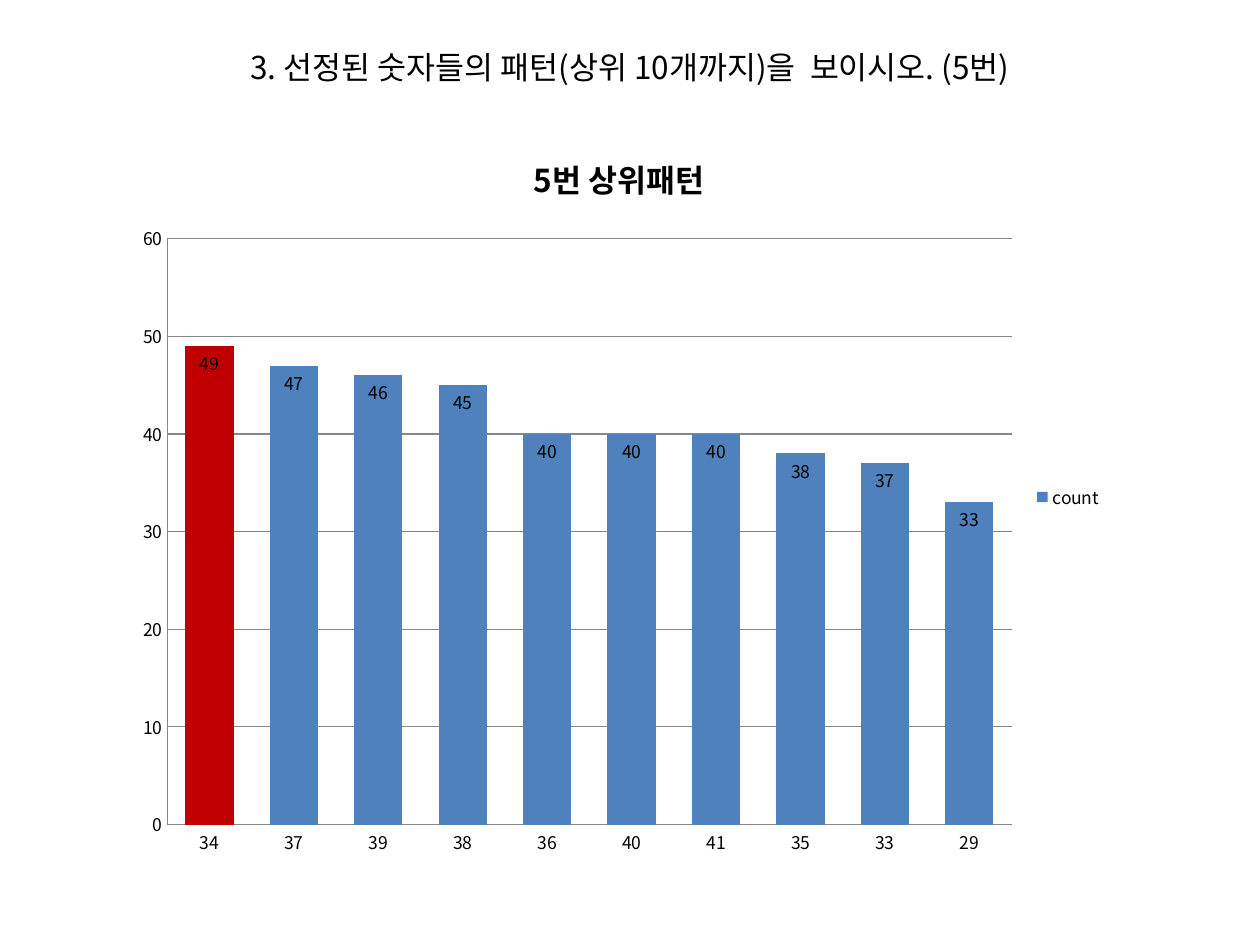
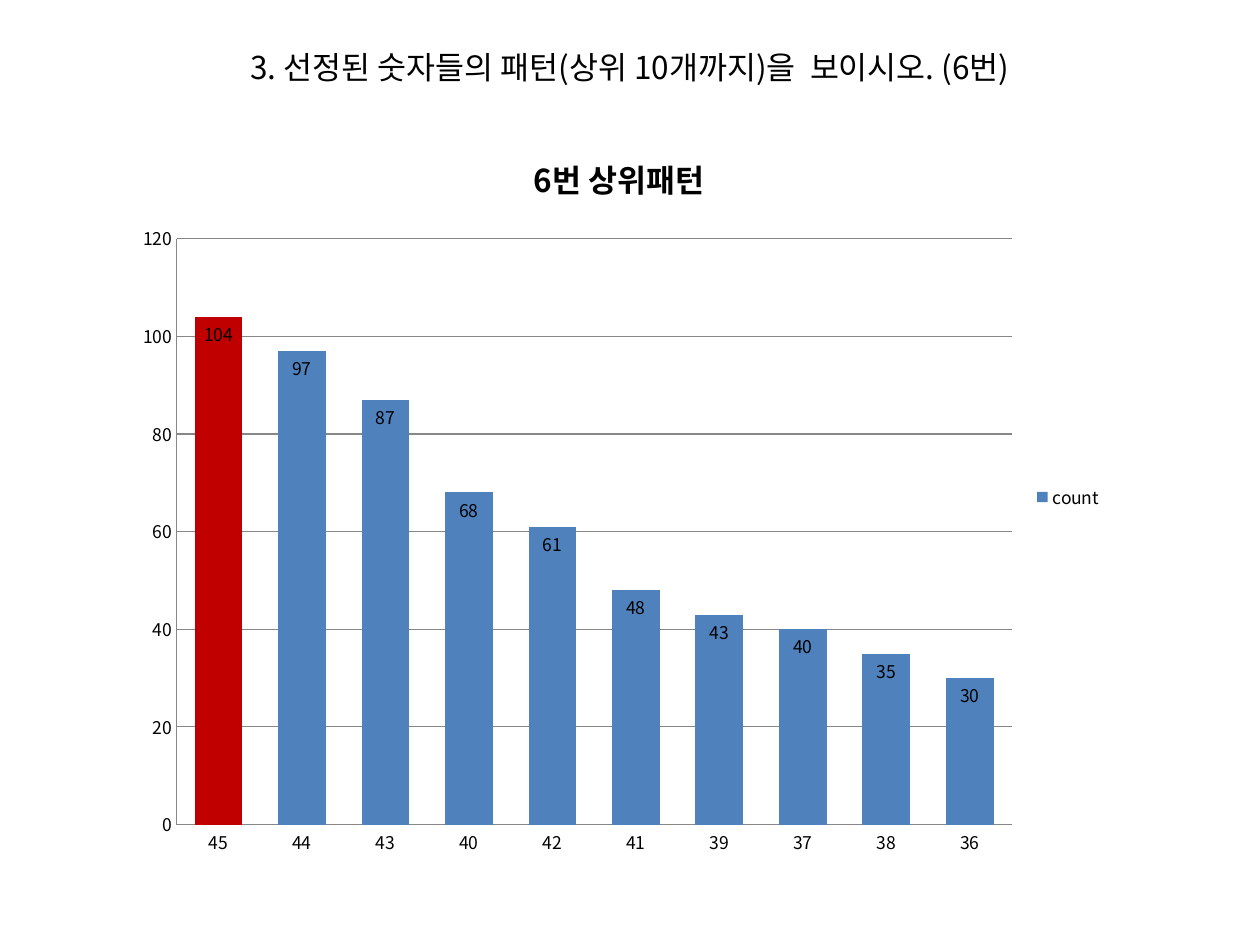
import lxml.etree
import pptx
import pptx.chart.data
import pptx.dml.color
import pptx.enum.chart
import pptx.enum.text
import pptx.oxml.ns
import pptx.util

COLOURS = {"text": "000000", "bar": "4F81BD", "top": "C00000", "grid": "878787", "page": "FFFFFF"}
FONT = "Noto Sans CJK KR"
WIDTH, HEIGHT = pptx.util.Inches(10), pptx.util.Inches(7.5)
TITLE_BOX = (0, 0.044, 1, 0.053)
CHART_BOX = (0.098, 0.132, 0.787, 0.788)

PATTERNS = [
    {
        "number": 5,
        "counts": {"34": 49, "37": 47, "39": 46, "38": 45, "36": 40,
                   "40": 40, "41": 40, "35": 38, "33": 37, "29": 33},
        "step": 10,
    },
    {
        "number": 6,
        "counts": {"45": 104, "44": 97, "43": 87, "40": 68, "42": 61,
                   "41": 48, "39": 43, "37": 40, "38": 35, "36": 30},
        "step": 20,
    },
]


def colour(name):
    return pptx.dml.color.RGBColor.from_string(COLOURS[name])


def place(box):
    left, top, width, height = box
    return [round(share * size) for share, size in
            ((left, WIDTH), (top, HEIGHT), (width, WIDTH), (height, HEIGHT))]


def style_font(font, size, bold=False):
    font.size = pptx.util.Pt(size)
    font.bold = bold
    font.color.rgb = colour("text")
    font.name = FONT
    east_asian = lxml.etree.SubElement(font._rPr, pptx.oxml.ns.qn("a:ea"))
    east_asian.set("typeface", FONT)


def write_text(frame, text, size=18, bold=False, align=pptx.enum.text.PP_ALIGN.CENTER):
    para = frame.paragraphs[0]
    para.alignment = align
    span = para.add_run()
    span.text = text
    style_font(span.font, size, bold)


def add_title(page, box, number):
    frame = page.shapes.add_textbox(*place(box)).text_frame
    frame.word_wrap = True
    frame.auto_size = pptx.enum.text.MSO_AUTO_SIZE.SHAPE_TO_FIT_TEXT
    write_text(frame, f"3. 선정된 숫자들의 패턴(상위 10개까지)을  보이시오. ({number}번)")


def style_axis(axis):
    axis.major_tick_mark = pptx.enum.chart.XL_TICK_MARK.NONE
    axis.minor_tick_mark = pptx.enum.chart.XL_TICK_MARK.NONE
    axis.format.line.color.rgb = colour("grid")
    axis.format.line.width = pptx.util.Pt(0.75)


def style_bars(plot):
    plot.gap_width = 75
    plot.overlap = 40
    plot.vary_by_categories = False
    series = plot.series[0]
    for part, name in ((series, "bar"), (series.points[0], "top")):
        part.format.fill.solid()
        part.format.fill.fore_color.rgb = colour(name)
    labels = series.data_labels
    labels.show_value = True
    labels.position = pptx.enum.chart.XL_LABEL_POSITION.INSIDE_END


def add_count_chart(page, box, number, counts, step):
    data = pptx.chart.data.CategoryChartData()
    data.categories = list(counts)
    data.add_series("count", list(counts.values()))
    kind = pptx.enum.chart.XL_CHART_TYPE.COLUMN_CLUSTERED
    chart = page.shapes.add_chart(kind, *place(box), data).chart
    style_font(chart.font, 10)
    write_text(chart.chart_title.text_frame, f"{number}번 상위패턴", bold=True)
    chart.chart_title.include_in_layout = False
    chart.has_legend = True
    chart.legend.position = pptx.enum.chart.XL_LEGEND_POSITION.RIGHT
    chart.legend.include_in_layout = False
    style_axis(chart.category_axis)
    values = chart.value_axis
    style_axis(values)
    values.minimum_scale = 0
    values.maximum_scale = 6 * step
    values.major_unit = step
    values.has_major_gridlines = True
    values.major_gridlines.format.line.color.rgb = colour("grid")
    values.major_gridlines.format.line.width = pptx.util.Pt(0.75)
    style_bars(chart.plots[0])


def add_pattern_page(deck, number, counts, step):
    page = deck.slides.add_slide(deck.slide_layouts[6])
    page.background.fill.solid()
    page.background.fill.fore_color.rgb = colour("page")
    add_count_chart(page, CHART_BOX, number, counts, step)
    add_title(page, TITLE_BOX, number)


deck = pptx.Presentation()
deck.slide_width, deck.slide_height = WIDTH, HEIGHT
for pattern in PATTERNS:
    add_pattern_page(deck, **pattern)
deck.save("out.pptx")
